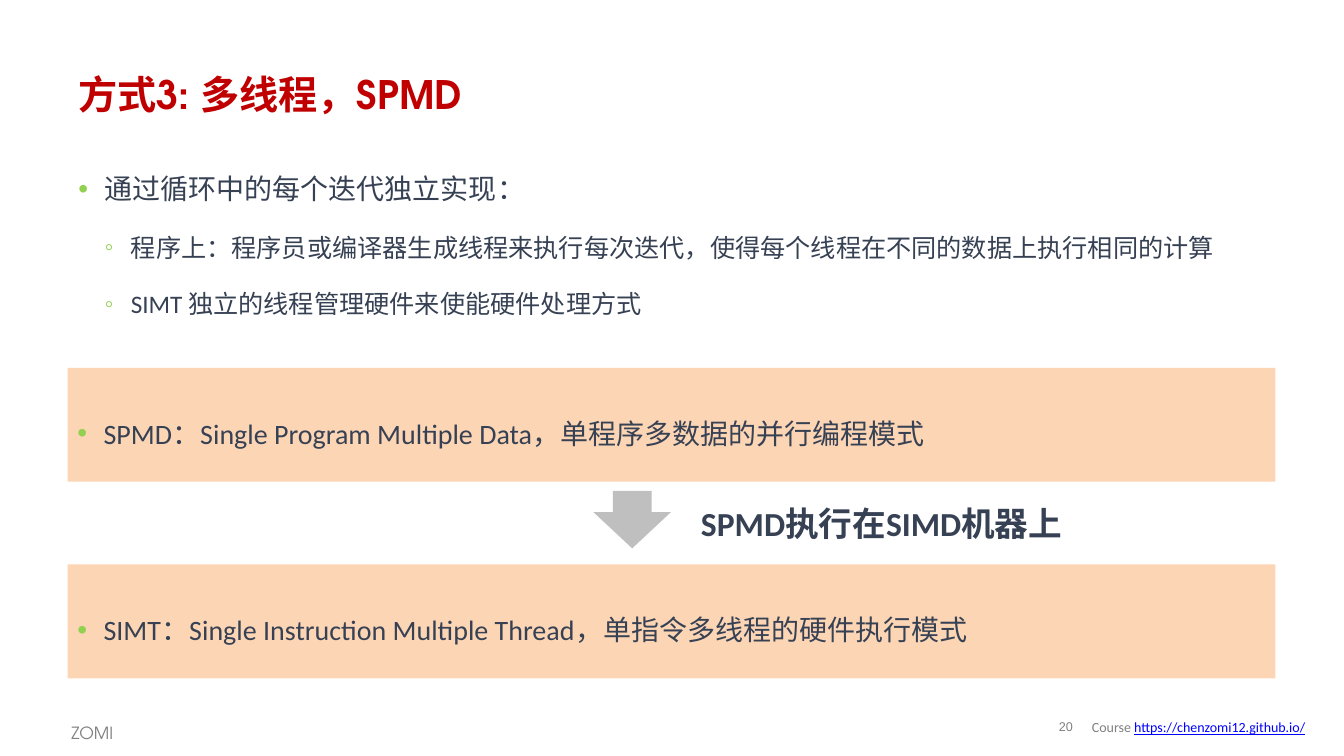
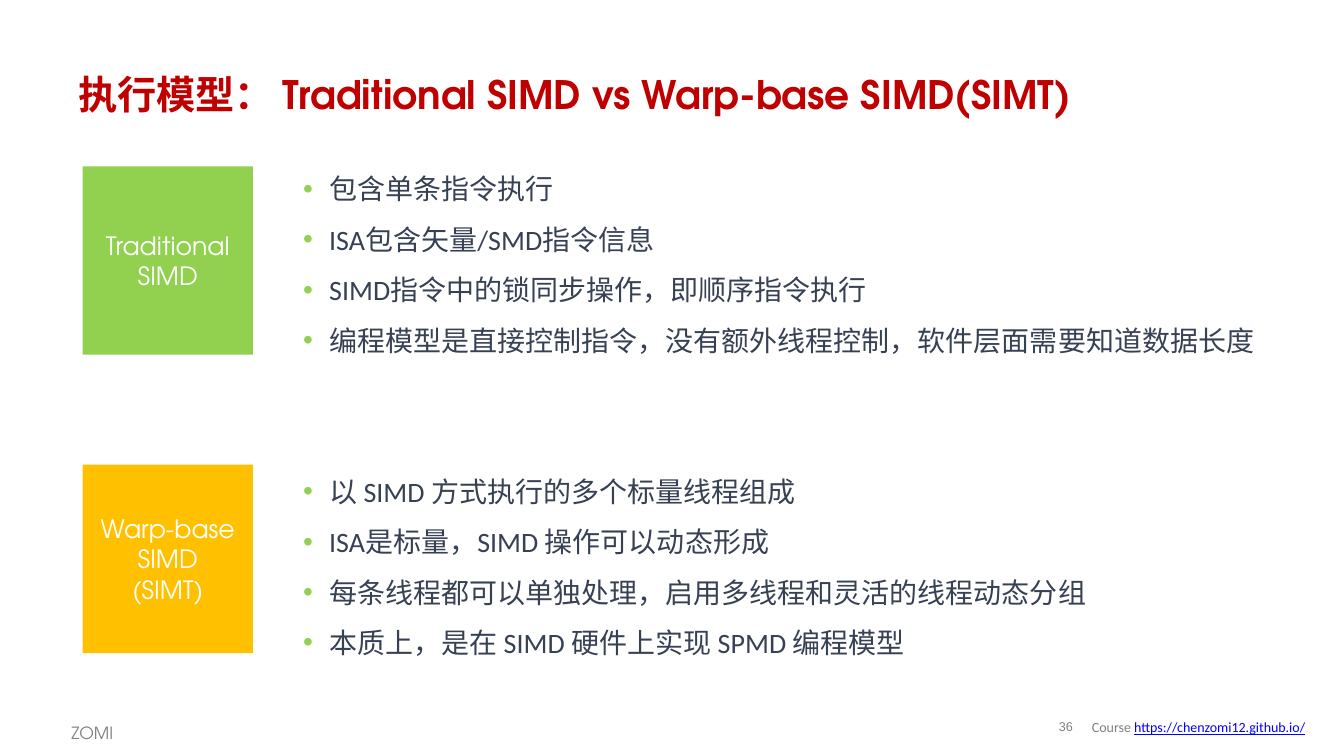
from dataclasses import dataclass

import pptx
import pptx.dml.color
import pptx.enum.lang
import pptx.enum.shapes
import pptx.enum.text
import pptx.oxml.ns
import pptx.presentation
import pptx.shapes.autoshape
import pptx.slide
import pptx.text.text
import pptx.util
from lxml import etree

Anchor = pptx.enum.text.MSO_ANCHOR
Align = pptx.enum.text.PP_ALIGN
Preset = pptx.enum.shapes.MSO_SHAPE

CELL = 0.1  # inches: one column or row of the page grid
PAGE_COLUMNS, PAGE_ROWS = 133.4, 75


@dataclass(frozen=True)
class Theme:
    heading_font: str = "TeX Gyre Adventor"
    body_font: str = "Calibri"
    number_font: str = "Arial"
    heading: str = "C00000"
    ink: str = "374154"
    muted: str = "808080"
    link: str = "0000FF"
    green: str = "92D050"
    amber: str = "FFC000"
    peach: str = "FCD5B5"
    grey: str = "BFBFBF"
    white: str = "FFFFFF"
    title_size: float = 28
    caption_size: float = 24
    body_size: float = 20
    detail_size: float = 18
    author_size: float = 12
    course_size: float = 10
    number_size: float = 9
    bullet_indent: float = 2.6
    bullet_spacing: float = 1.5


THEME = Theme()


@dataclass(frozen=True)
class Area:
    """A rectangle in columns and rows of the page grid."""
    column: float
    row: float
    columns: float
    rows: float

    def lengths(self) -> tuple[int, ...]:
        return tuple(grid(n) for n in (self.column, self.row, self.columns, self.rows))


@dataclass(frozen=True)
class Style:
    size: float
    color: str = THEME.ink
    font: str = THEME.body_font
    bold: bool = False
    underline: bool = False


@dataclass(frozen=True)
class Bullet:
    text: str
    level: int = 0


@dataclass(frozen=True)
class Model:
    """An execution model: its coloured tile and its properties."""
    label: tuple[str, ...]
    fill: str
    points: tuple[str, ...]


TITLE = Style(THEME.title_size, THEME.heading, THEME.heading_font, bold=True)
CAPTION = Style(THEME.caption_size, bold=True)
TILE = Style(THEME.detail_size, THEME.white, THEME.heading_font)
AUTHOR = Style(THEME.author_size, THEME.muted, THEME.heading_font)
NUMBER = Style(THEME.number_size, THEME.muted, THEME.number_font)
COURSE = Style(THEME.course_size, THEME.muted)
ADDRESS = Style(THEME.course_size, THEME.link, underline=True)
LEVELS = (("•", Style(THEME.body_size)), ("◦", Style(THEME.detail_size)))

MARGIN, CONTENT_WIDTH = 6.8, 119.9
BODY_TOP = 14.9

INTRODUCTION = (
    Bullet("通过循环中的每个迭代独立实现："),
    Bullet("程序上：程序员或编译器生成线程来执行每次迭代，使得每个线程在不同的数据上执行相同的计算", 1),
    Bullet("SIMT 独立的线程管理硬件来使能硬件处理方式", 1),
)
BANDS = (
    Bullet("SPMD：Single Program Multiple Data，单程序多数据的并行编程模式"),
    Bullet("SIMT：Single Instruction Multiple Thread，单指令多线程的硬件执行模式"),
)
MODELS = (
    Model(("Traditional SIMD",), THEME.green, (
        "包含单条指令执行",
        "ISA包含矢量/SMD指令信息",
        "SIMD指令中的锁同步操作，即顺序指令执行",
        "编程模型是直接控制指令，没有额外线程控制，软件层面需要知道数据长度",
    )),
    Model(("Warp-base SIMD", "(SIMT)"), THEME.amber, (
        "以 SIMD 方式执行的多个标量线程组成",
        "ISA是标量，SIMD 操作可以动态形成",
        "每条线程都可以单独处理，启用多线程和灵活的线程动态分组",
        "本质上，是在 SIMD 硬件上实现 SPMD 编程模型",
    )),
)


def grid(count: float) -> int:
    return pptx.util.Inches(count * CELL)


def rgb(color: str) -> pptx.dml.color.RGBColor:
    return pptx.dml.color.RGBColor.from_string(color)


def add_span(para: pptx.text.text._Paragraph, text: str, style: Style) -> None:
    span = para.add_run()
    span.text = text
    font = span.font
    font.name = style.font
    font.size = pptx.util.Pt(style.size)
    font.color.rgb = rgb(style.color)
    font.bold = style.bold
    font.underline = style.underline
    font.language_id = pptx.enum.lang.MSO_LANGUAGE_ID.SIMPLIFIED_CHINESE


def next_para(frame: pptx.text.text.TextFrame) -> pptx.text.text._Paragraph:
    """Use the empty first paragraph, and add one after that."""
    first = frame.paragraphs[0]
    return frame.add_paragraph() if first.runs else first


def add_box(page: pptx.slide.Slide, area: Area,
            anchor: Anchor = Anchor.TOP) -> pptx.text.text.TextFrame:
    frame = page.shapes.add_textbox(*area.lengths()).text_frame
    frame.word_wrap = True
    frame.vertical_anchor = anchor
    return frame


def add_filled(page: pptx.slide.Slide, preset: Preset, area: Area,
               fill: str) -> pptx.shapes.autoshape.Shape:
    shape = page.shapes.add_shape(preset, *area.lengths())
    shape.shadow.inherit = False
    shape.fill.solid()
    shape.fill.fore_color.rgb = rgb(fill)
    shape.line.fill.background()
    shape.text_frame.vertical_anchor = Anchor.MIDDLE
    return shape


def add_bullet(frame: pptx.text.text.TextFrame, bullet: Bullet, space_after: float) -> None:
    mark, style = LEVELS[bullet.level]
    para = next_para(frame)
    para.level = bullet.level
    para.alignment = Align.LEFT
    para.line_spacing = THEME.bullet_spacing
    para.space_after = pptx.util.Pt(space_after)
    properties = para._p.get_or_add_pPr()
    properties.set("marL", str(grid(THEME.bullet_indent * (bullet.level + 1))))
    properties.set("indent", str(grid(-THEME.bullet_indent)))
    name = pptx.oxml.ns.qn
    color = etree.SubElement(properties, name("a:buClr"))
    etree.SubElement(color, name("a:srgbClr"), val=THEME.green)
    etree.SubElement(properties, name("a:buFont"), typeface=THEME.number_font)
    etree.SubElement(properties, name("a:buChar"), char=mark)
    add_span(para, bullet.text, style)


def add_page(deck: pptx.presentation.Presentation, title: str, number: int) -> pptx.slide.Slide:
    """Add a blank page with the shared title and footer."""
    page = deck.slides.add_slide(deck.slide_layouts[6])
    heading = add_box(page, Area(MARGIN, 6.1, CONTENT_WIDTH, 6.4), Anchor.MIDDLE)
    add_span(heading.paragraphs[0], title, TITLE)

    author = add_box(page, Area(6.1, 70.8, 8, 3.2)).paragraphs[0]
    author.line_spacing = 1.2
    add_span(author, "ZOMI", AUTHOR)

    counter = add_box(page, Area(104, 70.6, 3.6, 3.1), Anchor.MIDDLE)
    counter.margin_left = counter.margin_right = 0
    counter.margin_top = counter.margin_bottom = 0
    counter.paragraphs[0].alignment = Align.CENTER
    counter.paragraphs[0].line_spacing = 0.85
    add_span(counter.paragraphs[0], str(number), NUMBER)

    course = add_box(page, Area(107.4, 70.7, 24.6, 2.9), Anchor.MIDDLE).paragraphs[0]
    add_span(course, "Course ", COURSE)
    add_span(course, "https://chenzomi12.github.io/", ADDRESS)
    return page


def build_threading_page(deck: pptx.presentation.Presentation) -> None:
    page = add_page(deck, "方式3: 多线程，SPMD", 20)
    introduction = add_box(page, Area(MARGIN, BODY_TOP, CONTENT_WIDTH, 18.3))
    for bullet in INTRODUCTION:
        add_bullet(introduction, bullet, space_after=8)

    band_top, band_pitch = 36.5, 19.5
    for index, bullet in enumerate(BANDS):
        area = Area(6.7, band_top + index * band_pitch, CONTENT_WIDTH, 11.3)
        band = add_filled(page, Preset.RECTANGLE, area, THEME.peach)
        add_bullet(band.text_frame, bullet, space_after=8)

    caption = add_box(page, Area(68.6, 49.4, 45, 5))
    add_span(caption.paragraphs[0], "SPMD执行在SIMD机器上", CAPTION)
    arrow = add_filled(page, Preset.DOWN_ARROW, Area(58.9, 48.7, 7.7, 5.7), THEME.grey)
    arrow.adjustments[0] = 0.5
    arrow.adjustments[1] = 0.63


def build_models_page(deck: pptx.presentation.Presentation) -> None:
    page = add_page(deck, "执行模型： Traditional SIMD vs Warp-base SIMD(SIMT)", 36)
    tile_top, tile_pitch, list_pitch = 16.5, 29.6, 30
    for index, model in enumerate(MODELS):
        points = add_box(page, Area(29.1, BODY_TOP + index * list_pitch, 97.6, 21))
        for text in model.points:
            add_bullet(points, Bullet(text), space_after=0)
        area = Area(8.2, tile_top + index * tile_pitch, 16.9, 18.7)
        tile = add_filled(page, Preset.RECTANGLE, area, model.fill)
        for line in model.label:
            para = next_para(tile.text_frame)
            para.alignment = Align.CENTER
            add_span(para, line, TILE)


def main() -> None:
    deck = pptx.Presentation()
    deck.slide_width = grid(PAGE_COLUMNS)
    deck.slide_height = grid(PAGE_ROWS)
    build_threading_page(deck)
    build_models_page(deck)
    deck.save("out.pptx")


if __name__ == "__main__":
    main()
